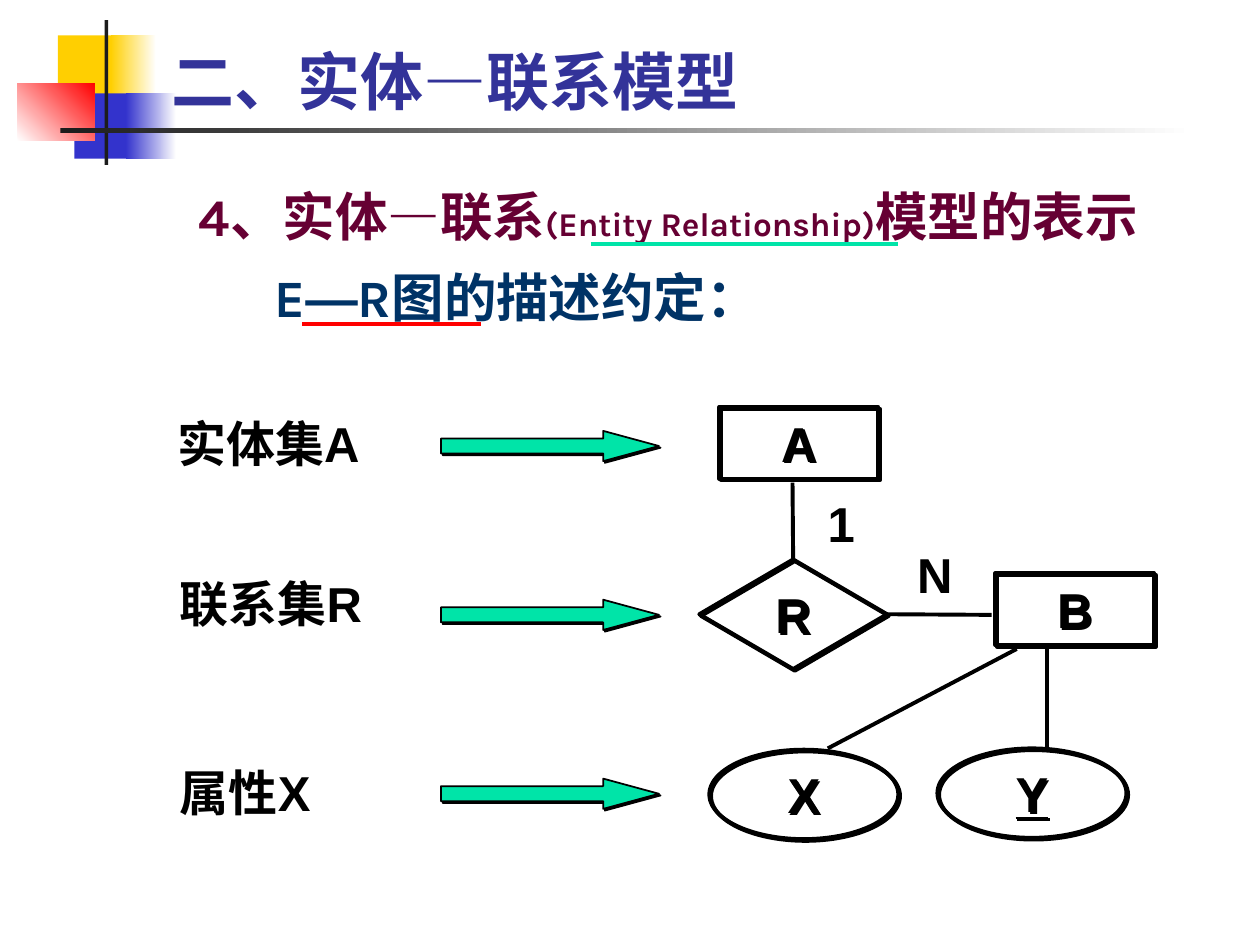
from lxml.etree import SubElement
from pptx import Presentation
from pptx.dml.color import RGBColor
from pptx.enum.shapes import MSO_CONNECTOR, MSO_SHAPE
from pptx.enum.text import MSO_ANCHOR, PP_ALIGN
from pptx.oxml.ns import qn
from pptx.util import Inches, Pt

COLORS = dict(white="FFFFFF", black="000000", dark="1C1C1C", yellow="FFCF01",
              blue="3333CC", red="FF0000", title="333399", maroon="660033",
              navy="003366", green="00E4A8")

DECOR = [
    ((0.46, 0.28, 0.48, 0.52), ["yellow"], 0),
    ((0.88, 0.28, 0.36, 0.52), ["yellow", "white"], 0),
    ((0.59, 0.74, 0.46, 0.52), ["blue"], 0),
    ((1, 0.74, 0.4, 0.52), ["blue", "white"], 0),
    ((0.14, 0.66, 0.61, 0.46), ["white", "red"], 45),
    ((0.83, 0.16, 0.03, 1.15), ["dark"], 0),
    ((0.48, 1.02, 9, 0.04), ["dark", "white"], 0),
]

TITLE = [("二、实体", "Karla", 36, "title"), ("—", "Arial", 36, "title"),
         ("联系模型", "Karla", 36, "title")]
BODY = [
    (0.97, [("4、实体", "Karla", 30, "maroon"), ("—", "Arial", 30, "maroon"),
            ("联系", "Karla", 30, "maroon"),
            ("(Entity Relationship)", "Karla", 19, "maroon"),
            ("模型的表示", "Karla", 30, "maroon")]),
    (1.57, [("E", "Karla", 30, "navy"), ("—", "Arial", 30, "navy"),
            ("R图的描述约定：", "Karla", 30, "navy")]),
]

LABELS = [
    ("实体集A", (1.31, 3.23, 1.74, 0.57)),
    ("联系集R", (1.33, 4.5, 1.74, 0.57)),
    ("属性X", (1.33, 6, 1.33, 0.57)),
    ("1", (6.47, 3.87, 0.41, 0.57)),
    ("N", (7.18, 4.27, 0.48, 0.57)),
]
ARROW_TOPS = [3.42, 4.76, 6.18]
NODES = [
    ("A", MSO_SHAPE.RECTANGLE, (5.71, 3.23, 1.26, 0.57)),
    ("R", MSO_SHAPE.FLOWCHART_DECISION, (5.55, 4.44, 1.49, 0.87)),
    ("X", MSO_SHAPE.OVAL, (5.63, 5.95, 1.5, 0.71)),
    ("B", MSO_SHAPE.RECTANGLE, (7.9, 4.55, 1.26, 0.57)),
    ("Y", MSO_SHAPE.OVAL, (7.44, 5.94, 1.5, 0.71)),
]
UNDERLINES = [((4.69, 1.94), (7.13, 1.94), "green"),
              ((2.4, 2.57), (3.82, 2.57), "red")]
ENTITY_LINK = ((6.29, 3.83), (6.29, 4.42), "black")
RELATION_LINK = ((7.08, 4.88), (7.87, 4.88), "black")
ATTRIBUTE_LINKS = [((8.07, 5.15), (6.57, 5.94), "black"),
                   ((8.31, 5.15), (8.31, 5.94), "black")]

prs = Presentation()
prs.slide_width, prs.slide_height = Inches(10), Inches(7.5)
s = prs.slides.add_slide(prs.slide_layouts[6])


def rgb(name):
    return RGBColor.from_string(COLORS[name])


def add_shadow(effects):
    shadow = SubElement(effects, qn("a:outerShdw"), dist=str(Pt(1.4)),
                        dir="2700000", algn="ctr", rotWithShape="0")
    SubElement(shadow, qn("a:srgbClr"), val=COLORS["black"])


def add_run(p, text, font, size, color):
    r = p.add_run()
    r.text = text
    r.font.name, r.font.size, r.font.bold = font, Pt(size), True
    r.font.color.rgb = rgb(color)
    return r


def add_box(at, wrap):
    tf = s.shapes.add_textbox(*map(Inches, at)).text_frame
    tf.word_wrap = wrap
    return tf


def add_shape(kind, at):
    sp = s.shapes.add_shape(kind, *map(Inches, at))
    sp.shadow.inherit = False
    return sp


def outline(sp, width):
    sp.line.color.rgb = rgb("black")
    sp.line.width = Pt(width)
    add_shadow(sp._element.spPr.find(qn("a:effectLst")))


def add_line(start, end, color):
    line = s.shapes.add_connector(MSO_CONNECTOR.STRAIGHT,
                                  *map(Inches, start + end))
    line.line.color.rgb = rgb(color)
    line.line.width = Pt(2.25)
    SubElement(line._element.spPr, qn("a:effectLst"))
    return line


for at, fills, angle in DECOR:
    sp = add_shape(MSO_SHAPE.RECTANGLE, at)
    sp.line.fill.background()
    if len(fills) == 1:
        sp.fill.solid()
        sp.fill.fore_color.rgb = rgb(fills[0])
    else:
        sp.fill.gradient()
        sp.fill.gradient_angle = angle
        for stop, color in zip(sp.fill.gradient_stops, fills):
            stop.color.rgb = rgb(color)

tf = add_box((1.26, 0.08, 8.52, 0.91), True)
tf.vertical_anchor = MSO_ANCHOR.BOTTOM
for run in TITLE:
    add_run(tf.paragraphs[0], *run)

tf = add_box((0.51, 1.31, 9.22, 1.34), True)
for i, (margin, runs) in enumerate(BODY):
    p = tf.add_paragraph() if i else tf.paragraphs[0]
    p.line_spacing = 1.2
    if i:
        p.space_before = Pt(3.5)
    p._p.get_or_add_pPr().set("marL", str(Inches(margin)))
    for run in runs:
        add_run(p, *run)

for line in UNDERLINES:
    add_line(*line)

for text, at in LABELS:
    r = add_run(add_box(at, False).paragraphs[0], text, "Arial", 28, "black")
    effects = SubElement(r._r.rPr, qn("a:effectLst"))
    r._r.rPr.find(qn("a:solidFill")).addnext(effects)
    add_shadow(effects)

for top in ARROW_TOPS:
    sp = add_shape(MSO_SHAPE.RIGHT_ARROW, (3.5, top, 1.73, 0.24))
    sp.adjustments[0], sp.adjustments[1] = 0.5, 1.84
    sp.fill.solid()
    sp.fill.fore_color.rgb = rgb("green")
    outline(sp, 1)

nodes = {}
for name, kind, at in NODES:
    sp = nodes[name] = add_shape(kind, at)
    sp.fill.background()
    outline(sp, 2.25)
    tf = sp.text_frame
    is_rect = kind == MSO_SHAPE.RECTANGLE
    tf.word_wrap = is_rect
    tf.vertical_anchor = MSO_ANCHOR.TOP if is_rect else MSO_ANCHOR.MIDDLE
    p = tf.paragraphs[0]
    p.alignment = PP_ALIGN.CENTER
    r = add_run(p, name, "Arial", 28, "black")
    if name == "Y":
        r.font.underline = True

add_line(*ENTITY_LINK).end_connect(nodes["R"], 0)
add_line(*RELATION_LINK).begin_connect(nodes["R"], 3)
for link in ATTRIBUTE_LINKS:
    add_line(*link)

prs.save("out.pptx")
